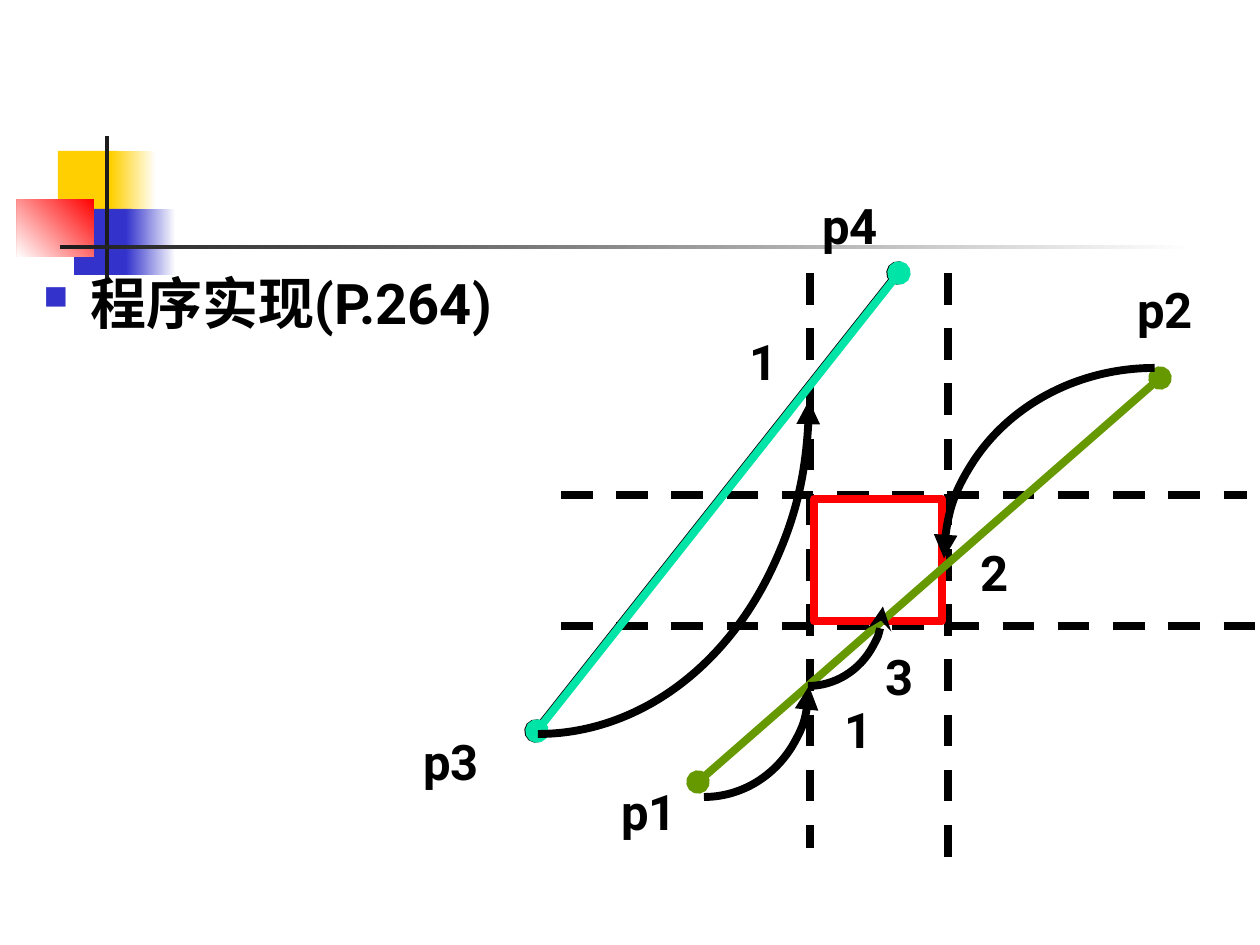
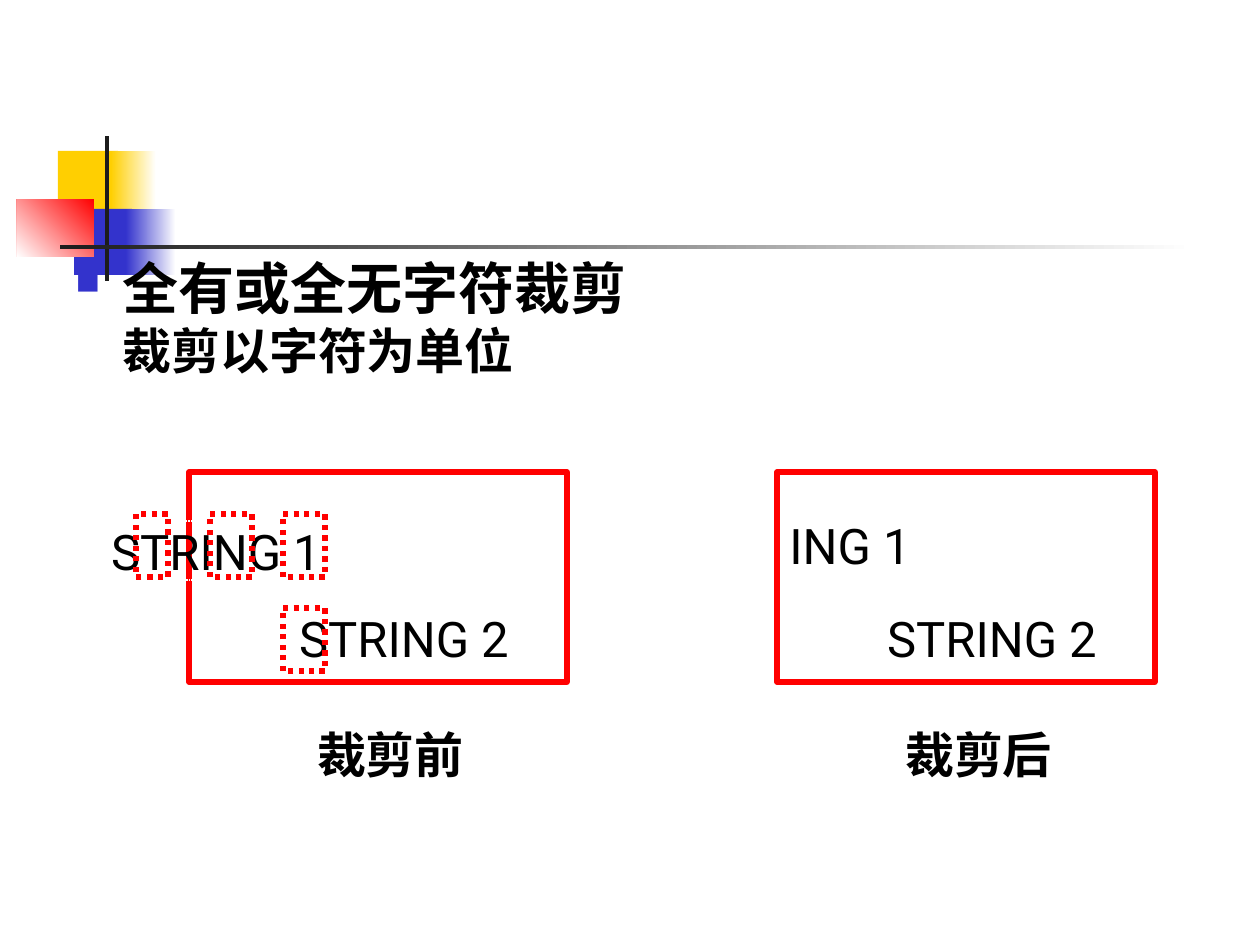
from lxml.etree import SubElement
from pptx import Presentation
from pptx.dml.color import RGBColor
from pptx.enum.dml import MSO_LINE
from pptx.enum.shapes import MSO_CONNECTOR, MSO_SHAPE
from pptx.enum.text import MSO_ANCHOR, PP_ALIGN
from pptx.oxml.ns import qn
from pptx.util import Emu, Pt

SCALE = 914400 / 126
FONT = "Roboto"
COLORS = {
    "white": "FFFFFF", "black": "000000", "ink": "1C1C1C",
    "yellow": "FFCF01", "blue": "3333CC", "red": "FF0000",
    "olive": "669900", "teal": "00E4A8",
}


def px(value):
    return Emu(round(value * SCALE))


def rgb(name):
    return RGBColor.from_string(COLORS[name])


def style_line(sp, color, width, dash=None):
    sp.line.color.rgb = rgb(color)
    sp.line.width = Pt(width)
    if dash:
        sp.line.dash_style = dash


def add_ends(sp, **ends):
    ln = sp.element.spPr.find(qn("a:ln"))
    for end in ("head", "tail"):
        if end in ends:
            SubElement(ln, qn(f"a:{end}End"), type=ends[end])


def add_shape(s, x, y, w, h, kind=MSO_SHAPE.RECTANGLE):
    sp = s.shapes.add_shape(kind, px(x), px(y), px(w), px(h))
    sp.shadow.inherit = False
    sp.fill.background()
    sp.line.fill.background()
    return sp


def add_frame(s, x, y, w, h, width, dash=None):
    style_line(add_shape(s, x, y, w, h), "red", width, dash)


def add_block(s, x, y, w, h, color, fade_angle=None):
    sp = add_shape(s, x, y, w, h)
    if fade_angle is None:
        sp.fill.solid()
        sp.fill.fore_color.rgb = rgb(color)
        return
    sp.fill.gradient()
    sp.fill.gradient_angle = fade_angle
    for stop, name, position in zip(sp.fill.gradient_stops, (color, "white"), (0, 1)):
        stop.color.rgb = rgb(name)
        stop.position = position


def add_segment(s, x1, y1, x2, y2, color="black", dash=None):
    cxn = s.shapes.add_connector(MSO_CONNECTOR.STRAIGHT, px(x1), px(y1), px(x2), px(y2))
    style_line(cxn, color, 4.5, dash)
    SubElement(cxn.element.spPr, qn("a:effectLst"))
    return cxn


def add_run(p, text, size, bold):
    r = p.add_run()
    r.text = text
    r.font.name = FONT
    r.font.size = Pt(size)
    r.font.bold = bold
    r.font.color.rgb = rgb("black")


def add_text(s, x, y, w, h, text, bold=True, centred=False):
    sp = s.shapes.add_textbox(px(x), px(y), px(w), px(h))
    tf = sp.text_frame
    tf.word_wrap = centred
    p = tf.paragraphs[0]
    if centred:
        tf.margin_left = tf.margin_right = tf.margin_top = tf.margin_bottom = 0
        tf.vertical_anchor = MSO_ANCHOR.MIDDLE
        p.alignment = PP_ALIGN.CENTER
    add_run(p, text, 28, bold)
    return sp


def add_bullet(pPr):
    clr = SubElement(pPr, qn("a:buClr"))
    SubElement(clr, qn("a:srgbClr"), val=COLORS["blue"])
    SubElement(pPr, qn("a:buSzPct"), val="60000")
    SubElement(pPr, qn("a:buChar"), char="■")


def add_body(s, x, y, w, h, heading, detail=None):
    tf = s.shapes.add_textbox(px(x), px(y), px(w), px(h)).text_frame
    tf.word_wrap = True
    hang = px(47)
    p = tf.paragraphs[0]
    pPr = p._p.get_or_add_pPr()
    pPr.set("marL", str(hang))
    pPr.set("indent", str(-hang))
    if detail:
        p.line_spacing = 0.8
    add_bullet(pPr)
    add_run(p, heading, 32, True)
    if detail:
        p = tf.add_paragraph()
        p._p.get_or_add_pPr().set("marL", str(hang))
        p.line_spacing = 0.8
        p.space_before = Pt(7)
        add_run(p, detail, 28, True)


def add_motif(s, x, y):
    for dx, dy, w, h, color, fade_angle in (
        (41, 15, 60, 65, "yellow", None),
        (94, 15, 45, 65, "yellow", 0),
        (57, 73, 58, 66, "blue", None),
        (109, 73, 50, 66, "blue", 0),
        (0, 63, 77, 58, "red", 225),
        (88, 0, 4, 145, "ink", None),
        (43, 109, 1134, 4, "ink", 0),
    ):
        add_block(s, x + dx, y + dy, w, h, color, fade_angle)


def add_line_clipping(s, x, y):
    for dx, bottom in ((399, 659), (537, 672)):
        add_segment(s, x + dx, y + 84, x + dx, y + bottom, dash=MSO_LINE.DASH)
    for dy, right in ((306, 836), (437, 849)):
        add_segment(s, x + 150, y + dy, x + right, y + dy, dash=MSO_LINE.DASH)
    add_frame(s, x + 403, y + 310, 128, 122, 4.5)
    for x1, y1, x2, y2, color in (
        (749, 189, 287, 593, "olive"),
        (125, 542, 487, 84, "black"),
        (126, 542, 488, 84, "teal"),
    ):
        cxn = add_segment(s, x + x1, y + y1, x + x2, y + y2, color)
        add_ends(cxn, head="oval", tail="oval")
    for dx, dy, w, h, start, head in (
        (188, 386, 210, 222, 0, "triangle"),
        (322, 338, 150, 159, 0, "stealth"),
        (533, 179, 421, 381, 180, "triangle"),
        (-144, -122, 542, 667, 0, "triangle"),
    ):
        arc = add_shape(s, x + dx, y + dy, w, h, MSO_SHAPE.ARC)
        for i, degrees in enumerate((start, start + 90)):
            arc.adjustments[i] = degrees * 0.6
        style_line(arc, "black", 4.5)
        add_ends(arc, head=head)
    for dx, dy, label in (
        (198, 586, "p1"), (714, 84, "p2"), (0, 536, "p3"), (399, 0, "p4"),
        (421, 504, "1"), (557, 347, "2"), (462, 451, "3"), (326, 136, "1"),
    ):
        add_text(s, x + dx, y + dy, 84 if len(label) == 2 else 53, 72, label)


def add_string_panel(s, x, y, caption):
    add_frame(s, x, y, 378, 210, 3)
    add_text(s, x + 128, y + 252, 147, 59, caption, centred=True)
    add_text(s, x + 94, y + 136, 242, 59, "STRING 2", bold=False, centred=True)


def add_before_panel(s, x, y):
    add_string_panel(s, x, y, "裁剪前")
    sp = add_text(s, x - 94, y + 49, 242, 59, "STRING 1", bold=False, centred=True)
    style_line(sp, "white", 0.75, MSO_LINE.ROUND_DOT)
    for dx, dy, w in ((-53, 42, 32), (94, 136, 42), (94, 42, 42), (21, 42, 42)):
        add_frame(s, x + dx, y + dy, w, 63, 3, MSO_LINE.ROUND_DOT)


def add_after_panel(s, x, y):
    add_string_panel(s, x, y, "裁剪后")
    add_text(s, x - 11, y + 43, 168, 59, "ING 1", bold=False, centred=True)


def new_slide(prs):
    s = prs.slides.add_slide(prs.slide_layouts[6])
    add_motif(s, 17, 136)
    return s


def line_slide(prs):
    s = new_slide(prs)
    add_body(s, 31, 262, 535, 598, "程序实现(P.264)")
    add_line_clipping(s, 411, 189)


def string_slide(prs):
    s = new_slide(prs)
    add_body(s, 63, 260, 1155, 170, "全有或全无字符裁剪", "裁剪以字符为单位")
    add_before_panel(s, 189, 472)
    add_after_panel(s, 777, 472)


def main():
    prs = Presentation()
    prs.slide_width, prs.slide_height = px(1260), px(945)
    line_slide(prs)
    string_slide(prs)
    prs.save("out.pptx")


if __name__ == "__main__":
    main()
